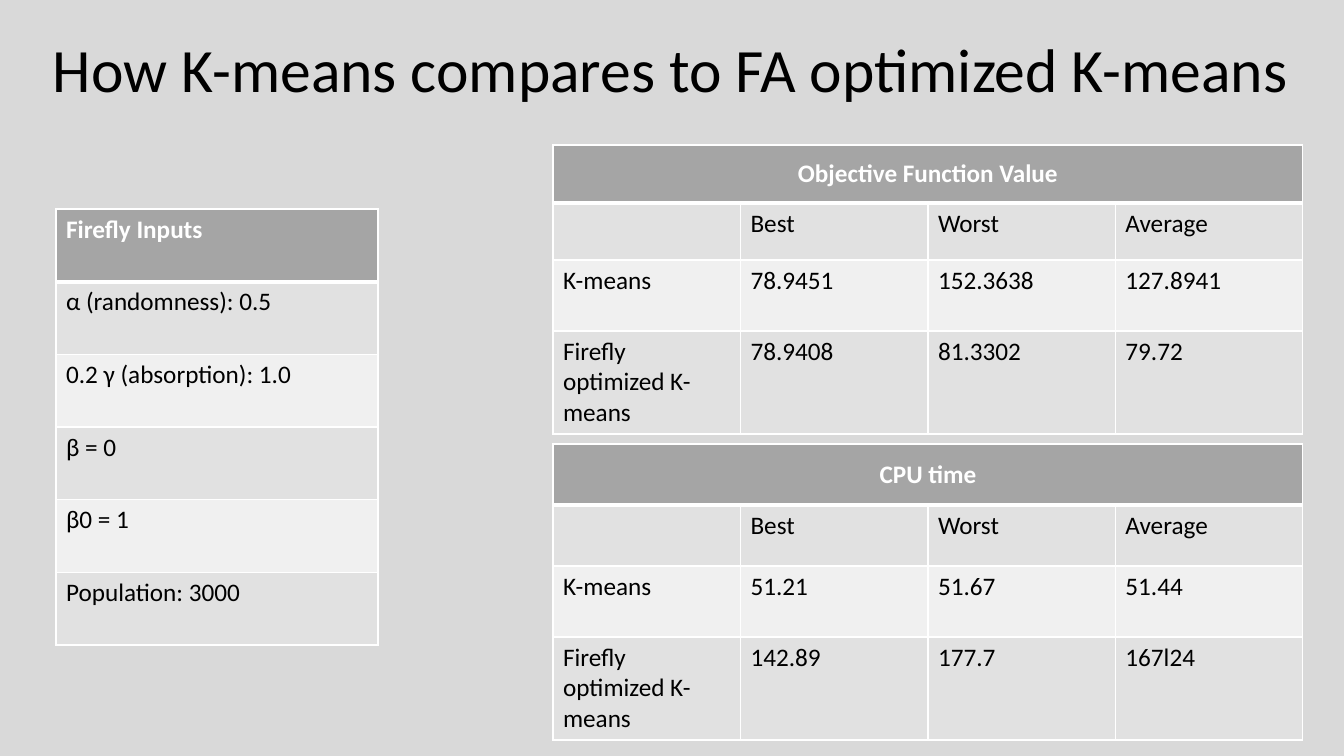
"""Builds a slide comparing K-means with firefly-optimized K-means."""
from dataclasses import dataclass

from lxml.etree import SubElement
from pptx import Presentation
from pptx.dml.color import RGBColor
from pptx.enum.text import MSO_ANCHOR, PP_ALIGN
from pptx.oxml.ns import qn
from pptx.util import Pt


@dataclass(frozen=True)
class Theme:
    font: str = "Calibri"
    title_size: int = 44
    body_size: int = 18
    background: str = "D9D9D9"
    ink: str = "000000"
    header_ink: str = "FFFFFF"
    header: str = "A5A5A5"
    bands: tuple = ("F0F0F0", "E1E1E1")
    border: str = "FFFFFF"


theme = Theme()
EMU_PER_PX = 914400 / 100.8


def px(length):
    return round(length * EMU_PER_PX)


def set_font(paragraph, size, color, bold=False):
    paragraph.font.name = theme.font
    paragraph.font.size = Pt(size)
    paragraph.font.bold = bold
    paragraph.font.color.rgb = RGBColor.from_string(color)


presentation = Presentation()
presentation.slide_width, presentation.slide_height = px(1344), px(756)
slide = presentation.slides.add_slide(presentation.slide_layouts[6])
slide.background.fill.solid()
slide.background.fill.fore_color.rgb = RGBColor.from_string(theme.background)

title = slide.shapes.add_textbox(px(43), px(0), px(1257), px(146)).text_frame
title.word_wrap = True
title.margin_right = 0
title.vertical_anchor = MSO_ANCHOR.MIDDLE
title.text = "How K-means compares to FA optimized K-means"
title.paragraphs[0].line_spacing = 0.9
set_font(title.paragraphs[0], theme.title_size, theme.ink)

firefly_inputs = [
    ["Firefly Inputs"],
    ["α (randomness): 0.5"],
    ["0.2 γ (absorption): 1.0"],
    ["β = 0"],
    ["β0 = 1"],
    ["Population: 3000"],
]
measures = ["", "Best", "Worst", "Average"]
objective_values = [
    ["Objective Function Value", "", "", ""],
    measures,
    ["K-means", "78.9451", "152.3638", "127.8941"],
    ["Firefly optimized K-means", "78.9408", "81.3302", "79.72"],
]
cpu_times = [
    ["CPU time", "", "", ""],
    measures,
    ["K-means", "51.21", "51.67", "51.44"],
    ["Firefly optimized K-means", "142.89", "177.7", "167l24"],
]
panels = [
    (firefly_inputs, (56, 209, 322, 436), []),
    (objective_values, (553, 145, 750, 289), [58, 57, 71, 103]),
    (cpu_times, (553, 444, 750, 296), [61, 61, 71, 103]),
]

for entries, bounds, row_heights in panels:
    columns = len(entries[0])
    table = slide.shapes.add_table(len(entries), columns, *map(px, bounds)).table
    for row, height in zip(table.rows, row_heights):
        row.height = px(height)
    if columns > 1:
        table.cell(0, 0).merge(table.cell(0, columns - 1))
    for row_index, row_entries in enumerate(entries):
        is_header = row_index == 0
        fill = theme.header if is_header else theme.bands[row_index % 2]
        ink = theme.header_ink if is_header else theme.ink
        widths = {"L": 1, "R": 1, "T": 3 if row_index == 1 else 1, "B": 3 if is_header else 1}
        for column_index, entry in enumerate(row_entries):
            cell = table.cell(row_index, column_index)
            cell.text = entry
            set_font(cell.text_frame.paragraphs[0], theme.body_size, ink, is_header)
            if is_header and columns > 1:
                cell.vertical_anchor = MSO_ANCHOR.MIDDLE
                cell.text_frame.paragraphs[0].alignment = PP_ALIGN.CENTER
            properties = cell._tc.get_or_add_tcPr()
            for side, width in widths.items():
                line = SubElement(properties, qn(f"a:ln{side}"), w=str(Pt(width)))
                line_fill = SubElement(line, qn("a:solidFill"))
                SubElement(line_fill, qn("a:srgbClr"), val=theme.border)
            cell.fill.solid()
            cell.fill.fore_color.rgb = RGBColor.from_string(fill)

presentation.save("out.pptx")
